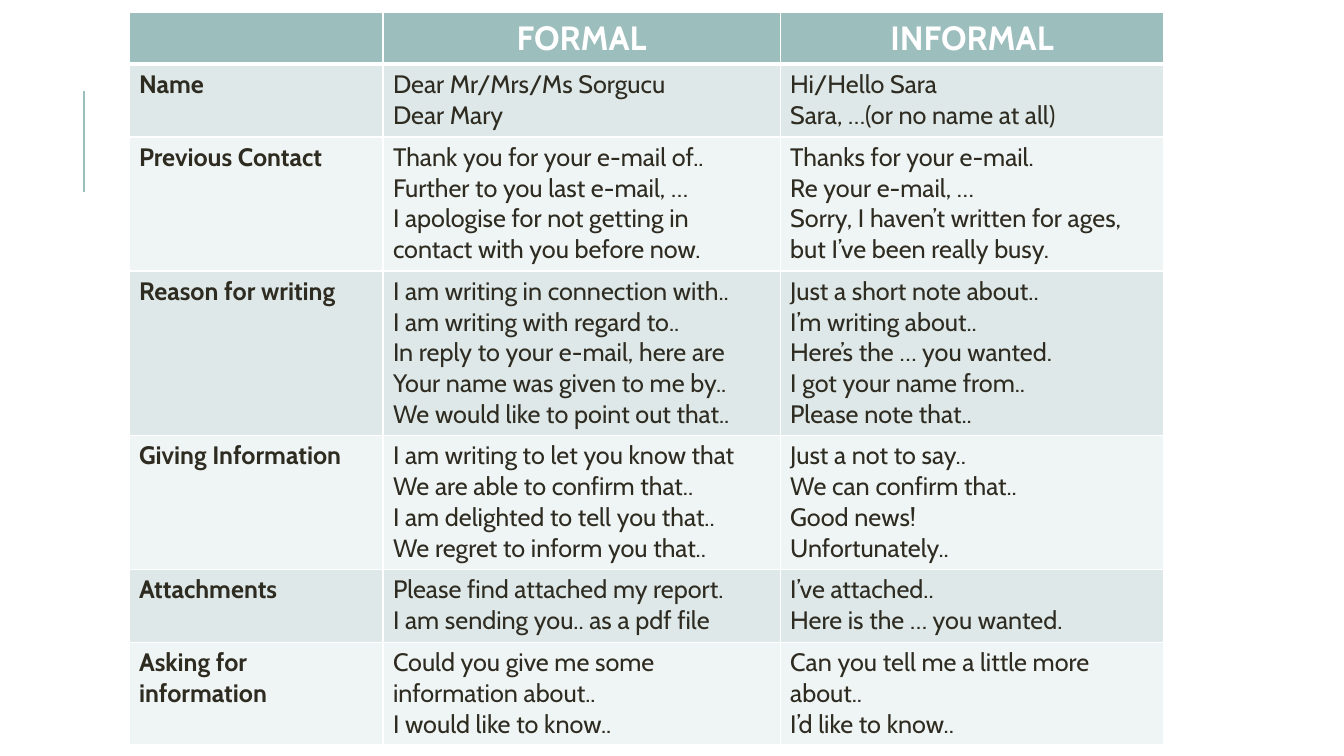
from dataclasses import dataclass

from lxml.etree import SubElement
from pptx import Presentation
from pptx.dml.color import RGBColor
from pptx.enum.shapes import MSO_CONNECTOR
from pptx.enum.text import PP_ALIGN
from pptx.oxml.ns import qn
from pptx.util import Cm, Pt


@dataclass(frozen=True)
class Theme:
    font: str = "Cabin"
    accent: str = "9CBEBD"
    bands: tuple = ("DEE8E8", "EFF4F4")
    text: str = "2E2B21"
    white: str = "FFFFFF"
    header_size: int = 24
    body_size: int = 18


THEME = Theme()
HEADERS = ("", "FORMAL", "INFORMAL")
COLUMN_WIDTHS = (6.4, 10.01, 9.67)
HEADER_HEIGHT = 1.3

# Height in cm, topic, formal phrases, informal phrases
TOPICS = [
    (1.83, "Name",
     ["Dear Mr/Mrs/Ms Sorgucu", "Dear Mary"],
     ["Hi/Hello Sara", "Sara, …(or no name at all)"]),
    (3.38, "Previous Contact",
     ["Thank you for your e-mail of..",
      "Further to you last e-mail, …",
      "I apologise for not getting in contact with you before now."],
     ["Thanks for your e-mail.",
      "Re your e-mail, …",
      "Sorry, I haven’t written for ages, but I’ve been really busy."]),
    (4.14, "Reason for writing",
     ["I am writing in connection with..",
      "I am writing with regard to..",
      "In reply to your e-mail, here are",
      "Your name was given to me by..",
      "We would like to point out that.."],
     ["Just a short note about..",
      "I’m writing about..",
      "Here’s the … you wanted.",
      "I got your name from..",
      "Please note that.."]),
    (3.38, "Giving Information",
     ["I am writing to let you know that",
      "We are able to confirm that..",
      "I am delighted to tell you that..",
      "We regret to inform you that.."],
     ["Just a not to say..",
      "We can confirm that..",
      "Good news!",
      "Unfortunately.."]),
    (1.83, "Attachments",
     ["Please find attached my report.", "I am sending you.. as a pdf file"],
     ["I’ve attached..", "Here is the … you wanted."]),
    (2.59, "Asking for information",
     ["Could you give me some information about..", "I would like to know.."],
     ["Can you tell me a little more about..", "I’d like to know.."]),
]


def rgb(color):
    return RGBColor.from_string(color)


def add_accent_line(s, x, top, bottom):
    line = s.shapes.add_connector(
        MSO_CONNECTOR.STRAIGHT, Cm(x), Cm(bottom), Cm(x), Cm(top))
    line.line.color.rgb = rgb(THEME.accent)
    line.line.width = Pt(1.5)
    SubElement(line._element.spPr, qn("a:effectLst"))


def set_borders(cell, top, bottom):
    tc_pr = cell._tc.get_or_add_tcPr()
    for side, width in (("L", 1), ("R", 1), ("T", top), ("B", bottom)):
        ln = SubElement(tc_pr, qn(f"a:ln{side}"), w=str(Pt(width)))
        fill = SubElement(ln, qn("a:solidFill"))
        SubElement(fill, qn("a:srgbClr"), val=THEME.white)


def fill_cell(cell, lines, fill, color, size, bold, align=PP_ALIGN.LEFT,
              top=1, bottom=1):
    set_borders(cell, top, bottom)
    cell.fill.solid()
    cell.fill.fore_color.rgb = rgb(fill)
    tf = cell.text_frame
    for i, text in enumerate(lines):
        p = tf.add_paragraph() if i else tf.paragraphs[0]
        p.alignment = align
        r = p.add_run()
        r.text = text
        r.font.name = THEME.font
        r.font.size = Pt(size)
        r.font.bold = bold
        r.font.color.rgb = rgb(color)


def add_phrase_table(s, left, top):
    heights = [HEADER_HEIGHT] + [topic[0] for topic in TOPICS]
    table = s.shapes.add_table(
        len(heights), len(HEADERS), Cm(left), Cm(top),
        Cm(sum(COLUMN_WIDTHS)), Cm(sum(heights))).table
    for column, width in zip(table.columns, COLUMN_WIDTHS):
        column.width = Cm(width)
    for row, height in zip(table.rows, heights):
        row.height = Cm(height)

    # Header row
    for col, title in enumerate(HEADERS):
        fill_cell(table.cell(0, col), [title] if title else [], THEME.accent,
                  THEME.white, THEME.header_size, True, PP_ALIGN.CENTER,
                  bottom=3)

    # Topic rows in alternating bands
    for row, (_, topic, formal, informal) in enumerate(TOPICS, start=1):
        band = THEME.bands[(row - 1) % 2]
        for col, lines in enumerate(([topic], formal, informal)):
            fill_cell(table.cell(row, col), lines, band, THEME.text,
                      THEME.body_size, col == 0, top=3 if row == 1 else 1)


def main():
    prs = Presentation()
    prs.slide_width, prs.slide_height = Cm(33.87), Cm(19.05)
    s = prs.slides.add_slide(prs.slide_layouts[6])
    add_accent_line(s, x=2.12, top=2.29, bottom=4.83)
    add_phrase_table(s, left=3.25, top=0.32)
    prs.save("out.pptx")


if __name__ == "__main__":
    main()
